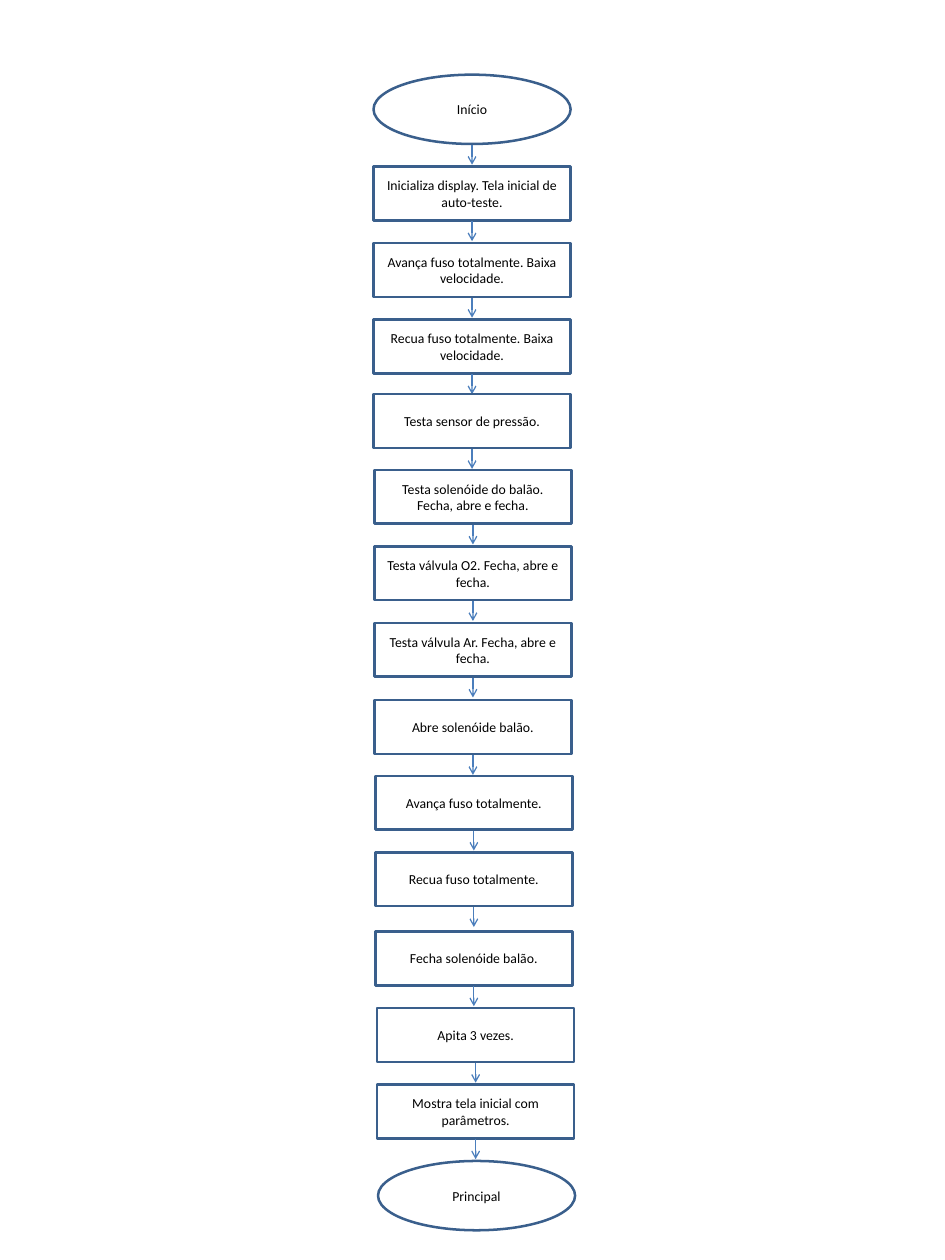
import pptx
import pptx.util
import pptx.dml.color
import pptx.enum.shapes
import pptx.enum.text
import lxml.etree

Inches, Pt = pptx.util.Inches, pptx.util.Pt
Color = pptx.dml.color.RGBColor.from_string
Kind = pptx.enum.shapes.MSO_SHAPE

theme = {
    "fill": Color("FFFFFF"), "edge": Color("3A5F8C"),
    "arrow": Color("4B7EBC"), "text": Color("000000"),
    "font": "Calibri", "size": Pt(11), "border": Pt(2), "line": Pt(1),
}
width, box, oval = 2.19, 0.6, 0.77
gap, reach = 0.01, 0.22

# Steps from top to bottom: left, top, text
steps = [
    (4.15, 0.83, "Início"),
    (4.15, 1.85, "Inicializa display. Tela inicial de auto-teste."),
    (4.15, 2.70, "Avança fuso totalmente. Baixa velocidade."),
    (4.15, 3.55, "Recua fuso totalmente. Baixa velocidade."),
    (4.15, 4.38, "Testa sensor de pressão."),
    (4.16, 5.22, "Testa solenóide do balão. Fecha, abre e fecha."),
    (4.16, 6.07, "Testa válvula O2. Fecha, abre e fecha."),
    (4.16, 6.92, "Testa válvula Ar. Fecha, abre e fecha."),
    (4.16, 7.78, "Abre solenóide balão."),
    (4.17, 8.62, "Avança fuso totalmente."),
    (4.17, 9.47, "Recua fuso totalmente."),
    (4.17, 10.35, "Fecha solenóide balão."),
    (4.19, 11.20, "Apita 3 vezes."),
    (4.19, 12.05, "Mostra tela inicial com parâmetros."),
    (4.20, 12.90, "Principal"),
]
last = len(steps) - 1

deck = pptx.Presentation()
deck.slide_width, deck.slide_height = Inches(10.5), Inches(14)
slide = deck.slides.add_slide(deck.slide_layouts[6])


def add_step(kind, left, top, high, text):
    shape = slide.shapes.add_shape(
        kind, Inches(left), Inches(top), Inches(width), Inches(high))
    shape.shadow.inherit = False
    shape.fill.solid()
    shape.fill.fore_color.rgb = theme["fill"]
    shape.line.color.rgb = theme["edge"]
    shape.line.width = theme["border"]
    frame = shape.text_frame
    frame.word_wrap = True
    frame.vertical_anchor = pptx.enum.text.MSO_ANCHOR.MIDDLE
    frame.margin_left = frame.margin_right = Inches(0.14)
    frame.margin_top = frame.margin_bottom = Inches(0.07)
    para = frame.paragraphs[0]
    para.text = text
    para.alignment = pptx.enum.text.PP_ALIGN.CENTER
    para.font.name = theme["font"]
    para.font.size = theme["size"]
    para.font.color.rgb = theme["text"]


def add_arrow(x, top):
    arrow = slide.shapes.add_connector(
        pptx.enum.shapes.MSO_CONNECTOR.STRAIGHT,
        Inches(x), Inches(top), Inches(x), Inches(top + reach))
    arrow.line.color.rgb = theme["arrow"]
    arrow.line.width = theme["line"]
    tail = pptx.oxml.ns.qn("a:tailEnd")
    lxml.etree.SubElement(arrow.line._get_or_add_ln(), tail, type="arrow")
    props = arrow._element.spPr
    lxml.etree.SubElement(props, pptx.oxml.ns.qn("a:effectLst"))


# Ovals at both ends, boxes between, an arrow below each but the last
for i, (left, top, text) in enumerate(steps):
    end = i in (0, last)
    high = oval if end else box
    add_step(Kind.OVAL if end else Kind.RECTANGLE, left, top, high, text)
    if i < last:
        add_arrow(left + width / 2, top + high + gap)

deck.save("out.pptx")
